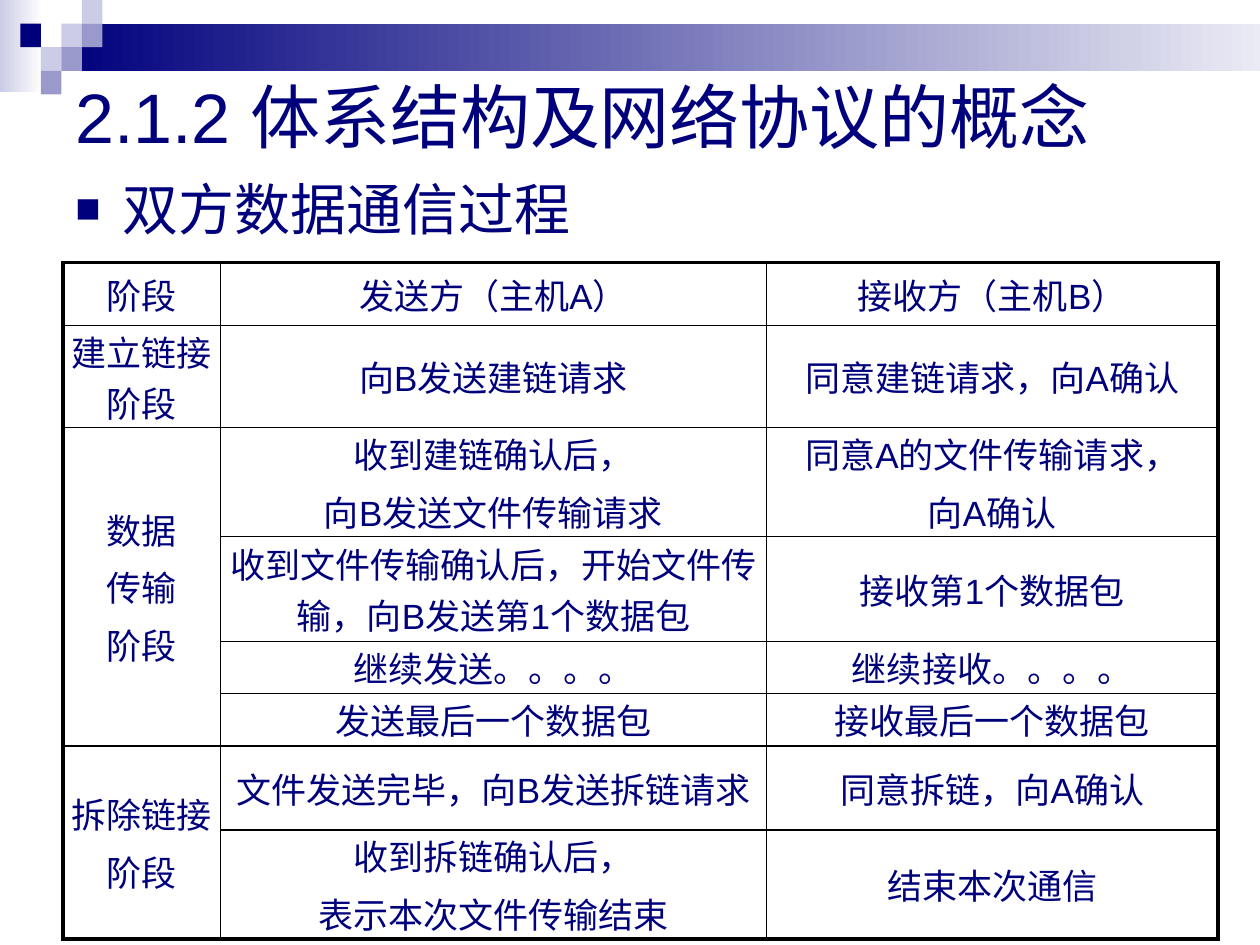
from lxml.etree import SubElement
from pptx import Presentation
from pptx.dml.color import RGBColor
from pptx.enum.shapes import MSO_SHAPE
from pptx.enum.text import MSO_ANCHOR, PP_ALIGN
from pptx.oxml.ns import qn
from pptx.util import Pt

NAVY = RGBColor(0x00, 0x00, 0x7D)
LILAC = RGBColor(0x99, 0x99, 0xCC)
PALE = RGBColor(0xCC, 0xCC, 0xE6)
WHITE = RGBColor(0xFF, 0xFF, 0xFF)
BLACK = RGBColor(0x00, 0x00, 0x00)

SQUARE_WIDTH, SQUARE_HEIGHT = 11.7, 13.5
SQUARES = [
    (3, 1, PALE), (4, 0, PALE), (4, 1, LILAC), (2, 2, PALE),
    (1, 1, NAVY), (3, 2, LILAC), (2, 3, LILAC),
]

COLUMN_WIDTHS = [90, 312, 258]
ROW_HEIGHTS = [36, 58.25, 62.25, 60, 29.75, 30, 48, 62.5]
STAGES = [
    ["阶段", "发送方（主机A）", "接收方（主机B）"],
    ["建立链接阶段", "向B发送建链请求", "同意建链请求，向A确认"],
    ["数据\n传输\n阶段", "收到建链确认后，\n向B发送文件传输请求", "同意A的文件传输请求，\n向A确认"],
    ["", "收到文件传输确认后，开始文件传输，向B发送第1个数据包", "接收第1个数据包"],
    ["", "继续发送。。。。", "继续接收。。。。"],
    ["", "发送最后一个数据包", "接收最后一个数据包"],
    ["拆除链接\n阶段", "文件发送完毕，向B发送拆链请求", "同意拆链，向A确认"],
    ["", "收到拆链确认后，\n表示本次文件传输结束", "结束本次通信"],
]
MERGED_ROWS = {2: 5, 6: 7}


def set_attributes(target, values):
    """Set each named value on the target."""
    for name, value in values.items():
        setattr(target, name, value)


def add_rectangle(slide, left, top, width, height, *colors):
    """Add a borderless rectangle, solid for one colour and graded for two."""
    shape = slide.shapes.add_shape(
        MSO_SHAPE.RECTANGLE, Pt(left), Pt(top), Pt(width), Pt(height))
    shape.shadow.inherit = False
    shape.line.fill.background()
    if len(colors) == 1:
        shape.fill.solid()
        shape.fill.fore_color.rgb = colors[0]
        return
    shape.fill.gradient()
    shape.fill.gradient_angle = 0
    for stop, color in zip(shape.fill.gradient_stops, colors):
        stop.color.rgb = color


def format_font(font, size):
    """Apply the slide's typeface and colour at the given size."""
    set_attributes(font, {"name": "Arial", "size": Pt(size), "bold": False})
    font.color.rgb = NAVY


def add_bullet(paragraph):
    """Give a paragraph a hanging square bullet."""
    properties = paragraph._p.get_or_add_pPr()
    properties.set("marL", str(Pt(27)))
    properties.set("indent", str(Pt(-27)))
    color = SubElement(properties, qn("a:buClr"))
    SubElement(color, qn("a:srgbClr"), val=str(NAVY))
    SubElement(properties, qn("a:buSzPct"), val="75000")
    SubElement(properties, qn("a:buFont"), typeface="Arial")
    SubElement(properties, qn("a:buChar"), char="■")


def add_text(slide, text, left, top, width, height, size, anchor, bulleted=False):
    """Add a one-paragraph text box."""
    box = slide.shapes.add_textbox(Pt(left), Pt(top), Pt(width), Pt(height))
    set_attributes(box.text_frame, {"word_wrap": True, "vertical_anchor": anchor})
    paragraph = box.text_frame.paragraphs[0]
    paragraph.text = text
    if bulleted:
        add_bullet(paragraph)
    format_font(paragraph.font, size)


def set_borders(cell, row, column):
    """Draw thick lines on the table's outer edge and thin lines inside."""
    last_row = MERGED_ROWS.get(row, row) if column == 0 else row
    outer_edges = {
        "lnL": column == 0,
        "lnR": column == len(COLUMN_WIDTHS) - 1,
        "lnT": row == 0,
        "lnB": last_row == len(ROW_HEIGHTS) - 1,
    }
    properties = cell._tc.get_or_add_tcPr()
    for edge, is_outer in outer_edges.items():
        width = Pt(2.25 if is_outer else 1)
        line = SubElement(properties, qn(f"a:{edge}"), w=str(width))
        fill = SubElement(line, qn("a:solidFill"))
        SubElement(fill, qn("a:srgbClr"), val=str(BLACK))


def fill_cell(cell, text):
    """Write centred lines of text in a cell without margins or fill."""
    cell.text = text
    set_attributes(cell, {
        "vertical_anchor": MSO_ANCHOR.MIDDLE,
        "margin_left": 0, "margin_right": 0, "margin_top": 0, "margin_bottom": 0,
    })
    cell.fill.background()
    for index, paragraph in enumerate(cell.text_frame.paragraphs):
        set_attributes(paragraph, {
            "alignment": PP_ALIGN.CENTER, "space_before": Pt(4 if index else 0)})
        format_font(paragraph.font, 20)


def add_stage_table(slide):
    """Add the table of communication stages."""
    table = slide.shapes.add_table(
        len(ROW_HEIGHTS), len(COLUMN_WIDTHS), Pt(36), Pt(150),
        Pt(sum(COLUMN_WIDTHS)), Pt(sum(ROW_HEIGHTS))).table
    set_attributes(table, {"first_row": False, "horz_banding": False})
    for column, width in zip(table.columns, COLUMN_WIDTHS):
        column.width = Pt(width)
    for row, height in zip(table.rows, ROW_HEIGHTS):
        row.height = Pt(height)
    for row, texts in enumerate(STAGES):
        for column, text in enumerate(texts):
            cell = table.cell(row, column)
            set_borders(cell, row, column)
            fill_cell(cell, text)
    for first, last in MERGED_ROWS.items():
        table.cell(first, 0).merge(table.cell(last, 0))


def add_header(slide):
    """Add the graded bands and the squares on their grid."""
    add_rectangle(slide, 0, 0, 24.5, 52.5, PALE, WHITE)
    add_rectangle(slide, 35.25, 13.5, 744.5, 27, NAVY, WHITE)
    for column, row, color in SQUARES:
        add_rectangle(slide, column * SQUARE_WIDTH, row * SQUARE_HEIGHT,
                      SQUARE_WIDTH, SQUARE_HEIGHT, color)


def main():
    """Build and save the slide."""
    presentation = Presentation()
    set_attributes(presentation, {"slide_width": Pt(720), "slide_height": Pt(540)})
    slide = presentation.slides.add_slide(presentation.slide_layouts[6])
    add_header(slide)
    add_text(slide, "2.1.2 体系结构及网络协议的概念", 36, 36, 648, 60, 40, MSO_ANCHOR.MIDDLE)
    add_stage_table(slide)
    add_text(slide, "双方数据通信过程", 36, 96, 468, 42, 32, MSO_ANCHOR.TOP, bulleted=True)
    presentation.save("out.pptx")


if __name__ == "__main__":
    main()
